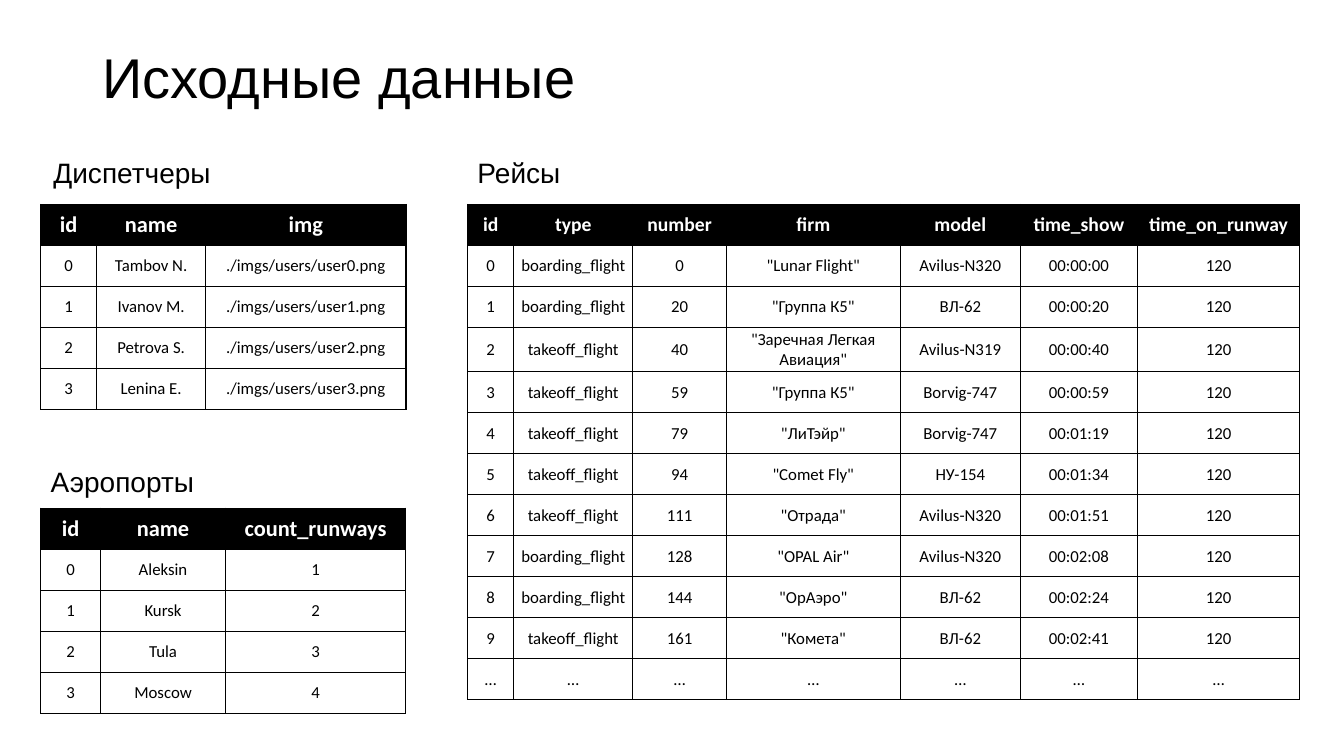
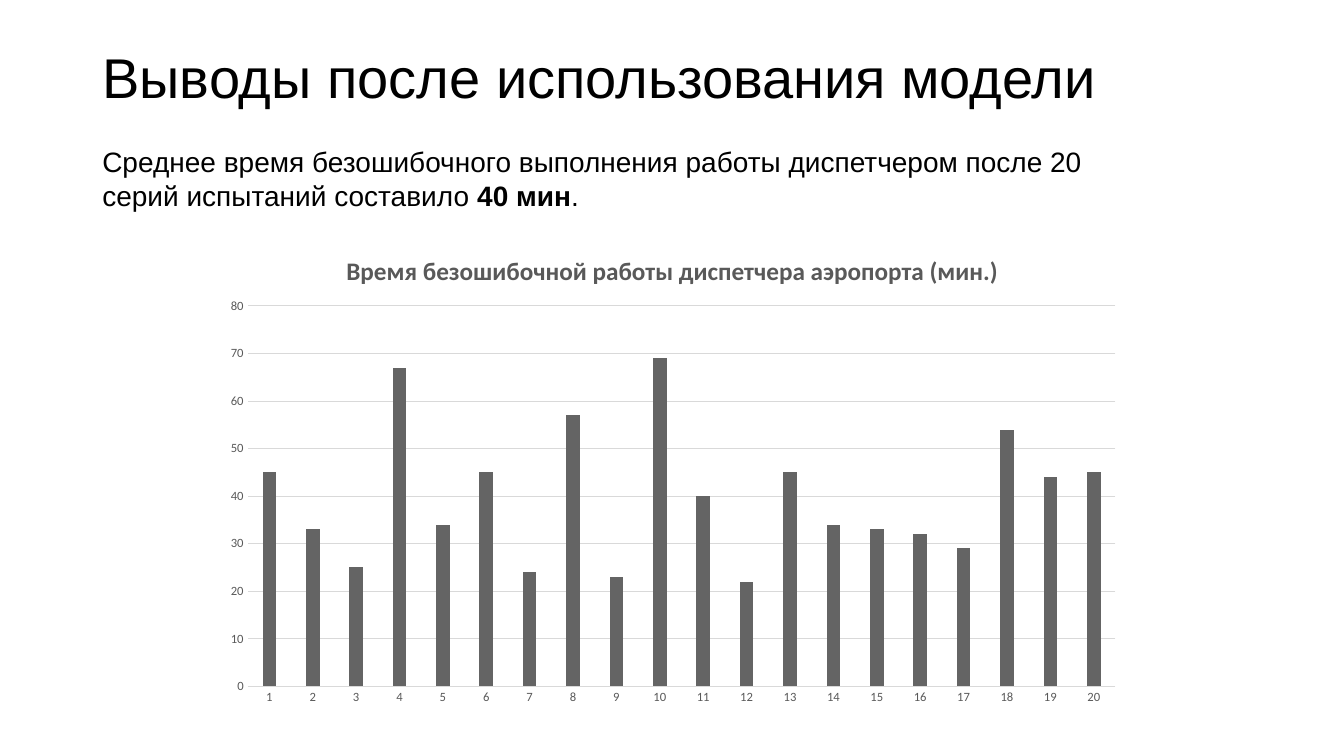
from dataclasses import dataclass

from lxml.etree import SubElement
from pptx import Presentation
from pptx.chart.data import CategoryChartData
from pptx.dml.color import RGBColor
from pptx.enum.chart import XL_CHART_TYPE, XL_TICK_MARK
from pptx.enum.text import MSO_ANCHOR, MSO_AUTO_SIZE, PP_ALIGN
from pptx.oxml import parse_xml
from pptx.oxml.ns import nsdecls, qn
from pptx.util import Pt


@dataclass(frozen=True)
class Theme:
    text: str = "000000"
    paper: str = "FFFFFF"
    muted: str = "595959"
    grid: str = "D9D9D9"
    bar: str = "646464"
    heading_font: str = "Arial"
    data_font: str = "Calibri"
    title_size: int = 40
    body_size: int = 20
    chart_title_size: int = 18
    header_size: int = 16
    wide_header_size: int = 14
    cell_size: int = 12
    axis_size: int = 9


class Deck:
    def __init__(self, theme):
        self.theme = theme
        self.presentation = Presentation()
        self.presentation.slide_width = Pt(960)
        self.presentation.slide_height = Pt(540)
        self.slide = None

    def style(self, font, name, size, color, bold=False):
        font.name = name
        font.size = Pt(size)
        font.color.rgb = RGBColor.from_string(color)
        font.bold = bold

    def add_slide(self, heading):
        self.slide = self.presentation.slides.add_slide(self.presentation.slide_layouts[5])
        title = self.slide.shapes.title
        title.left, title.top, title.width, title.height = Pt(66), Pt(28.8), Pt(828), Pt(57.6)
        frame = title.text_frame
        frame.text = heading
        frame.word_wrap = True
        frame.auto_size = MSO_AUTO_SIZE.NONE
        frame.vertical_anchor = MSO_ANCHOR.MIDDLE
        paragraph = frame.paragraphs[0]
        paragraph.alignment = PP_ALIGN.LEFT
        paragraph.line_spacing = 0.9
        self.style(paragraph.font, self.theme.heading_font, self.theme.title_size, self.theme.text)

    def add_text(self, left, top, width, height, *parts, line_spacing=0.9):
        box = self.slide.shapes.add_textbox(Pt(left), Pt(top), Pt(width), Pt(height))
        frame = box.text_frame
        frame.word_wrap = True
        paragraph = frame.paragraphs[0]
        paragraph.space_before = Pt(10)
        paragraph.line_spacing = line_spacing
        self.style(paragraph.font, self.theme.heading_font, self.theme.body_size, self.theme.text)
        for index, part in enumerate(parts):
            run = paragraph.add_run()
            run.text = part
            if index % 2:
                run.font.bold = True

    def outline(self, cell):
        properties = cell._tc.get_or_add_tcPr()
        for index, side in enumerate(("lnL", "lnR", "lnT", "lnB")):
            line = parse_xml(f'<a:{side} {nsdecls("a")} w="12700"/>')
            fill = SubElement(line, qn("a:solidFill"))
            SubElement(fill, qn("a:srgbClr"), val=self.theme.text)
            properties.insert(index, line)

    def add_table(self, left, top, widths, rows, header_size):
        row_height = 29.3
        table = self.slide.shapes.add_table(
            len(rows), len(widths), Pt(left), Pt(top), Pt(sum(widths)), Pt(row_height * len(rows))
        ).table
        for column, width in zip(table.columns, widths):
            column.width = Pt(width)
        for row_index, values in enumerate(rows):
            table.rows[row_index].height = Pt(row_height)
            for column_index, value in enumerate(values):
                self.fill_cell(table.cell(row_index, column_index), value, row_index == 0, header_size)

    def fill_cell(self, cell, value, is_header, header_size):
        theme = self.theme
        cell.text = value
        cell.vertical_anchor = MSO_ANCHOR.MIDDLE
        paragraph = cell.text_frame.paragraphs[0]
        paragraph.alignment = PP_ALIGN.CENTER
        if is_header:
            cell.fill.solid()
            cell.fill.fore_color.rgb = RGBColor.from_string(theme.text)
            self.style(paragraph.font, theme.data_font, header_size, theme.paper, True)
        else:
            cell.fill.background()
            cell.margin_left = cell.margin_right = cell.margin_top = cell.margin_bottom = Pt(1.5)
            self.style(paragraph.font, theme.data_font, theme.cell_size, theme.text)
        self.outline(cell)

    def add_column_chart(self, left, top, width, height, heading, series_name, values):
        theme = self.theme
        data = CategoryChartData()
        data.categories = [str(number) for number in range(1, len(values) + 1)]
        data.add_series(series_name, values)
        chart = self.slide.shapes.add_chart(
            XL_CHART_TYPE.COLUMN_CLUSTERED, Pt(left), Pt(top), Pt(width), Pt(height), data
        ).chart
        chart.has_legend = False
        self.style(chart.font, theme.data_font, 10, theme.text)
        chart.has_title = True
        chart.chart_title.include_in_layout = False
        title_frame = chart.chart_title.text_frame
        title_frame.text = heading
        self.style(
            title_frame.paragraphs[0].font, theme.data_font, theme.chart_title_size, theme.muted, True
        )

        plot = chart.plots[0]
        plot.gap_width = 219
        plot.overlap = -27
        plot.vary_by_categories = False
        bars = plot.series[0].format.fill
        bars.solid()
        bars.fore_color.rgb = RGBColor.from_string(theme.bar)

        for axis in (chart.category_axis, chart.value_axis):
            axis.major_tick_mark = axis.minor_tick_mark = XL_TICK_MARK.NONE
            self.style(axis.tick_labels.font, theme.data_font, theme.axis_size, theme.muted)
        chart.value_axis.minimum_scale = 0
        chart.value_axis.maximum_scale = 80
        chart.value_axis.major_unit = 10
        chart.value_axis.format.line.fill.background()
        for line in (chart.category_axis.format.line, chart.value_axis.major_gridlines.format.line):
            line.color.rgb = RGBColor.from_string(theme.grid)
            line.width = Pt(0.75)
        self.place_plot(chart, x=0.04, y=0.15, w=0.94, h=0.79)

    def place_plot(self, chart, **fractions):
        plot_area = chart.plots[0]._element.getparent()
        for old_layout in plot_area.findall(qn("c:layout")):
            plot_area.remove(old_layout)
        layout = parse_xml(f'<c:layout {nsdecls("c")}/>')
        manual = SubElement(layout, qn("c:manualLayout"))
        SubElement(manual, qn("c:layoutTarget"), val="inner")
        for mode in ("xMode", "yMode"):
            SubElement(manual, qn(f"c:{mode}"), val="edge")
        for key, value in fractions.items():
            SubElement(manual, qn(f"c:{key}"), val=str(value))
        plot_area.insert(0, layout)

    def save(self):
        self.presentation.save("out.pptx")


CONTROLLERS = ["Tambov N.", "Ivanov M.", "Petrova S.", "Lenina E."]
AIRPORTS = ["Aleksin", "Kursk", "Tula", "Moscow"]
FLIGHTS = [
    ("boarding", "0", "Lunar Flight", "Avilus-N320", "00:00:00"),
    ("boarding", "20", "Группа К5", "ВЛ-62", "00:00:20"),
    ("takeoff", "40", "Заречная Легкая Авиация", "Avilus-N319", "00:00:40"),
    ("takeoff", "59", "Группа К5", "Borvig-747", "00:00:59"),
    ("takeoff", "79", "ЛиТэйр", "Borvig-747", "00:01:19"),
    ("takeoff", "94", "Comet Fly", "НУ-154", "00:01:34"),
    ("takeoff", "111", "Отрада", "Avilus-N320", "00:01:51"),
    ("boarding", "128", "OPAL Air", "Avilus-N320", "00:02:08"),
    ("boarding", "144", "ОрАэро", "ВЛ-62", "00:02:24"),
    ("takeoff", "161", "Комета", "ВЛ-62", "00:02:41"),
]
ERROR_FREE_MINUTES = [45, 33, 25, 67, 34, 45, 24, 57, 23, 69, 40, 22, 45, 34, 33, 32, 29, 54, 44, 45]


def build_source_data(deck):
    theme = deck.theme
    controllers = [("id", "name", "img")] + [
        (str(index), name, f"./imgs/users/user{index}.png") for index, name in enumerate(CONTROLLERS)
    ]
    airports = [("id", "name", "count_runways")] + [
        (str(index), name, str(index + 1)) for index, name in enumerate(AIRPORTS)
    ]
    flights = [("id", "type", "number", "firm", "model", "time_show", "time_on_runway")]
    for index, (kind, number, firm, model, shown) in enumerate(FLIGHTS):
        flights.append((str(index), f"{kind}_flight", number, f'"{firm}"', model, shown, "120"))
    flights.append(("…",) * len(flights[0]))

    deck.add_slide("Исходные данные")
    deck.add_text(31, 110, 143, 31, "Диспетчеры")
    deck.add_text(29, 328, 135, 35, "Аэропорты", line_spacing=1)
    deck.add_text(334, 110, 102, 31, "Рейсы")
    deck.add_table(29, 146, (40, 78, 143), controllers, theme.header_size)
    deck.add_table(29, 363, (43, 89, 129), airports, theme.header_size)
    deck.add_table(334, 146, (33, 85, 67, 124, 86, 83.5, 116), flights, theme.wide_header_size)


def build_conclusions(deck):
    deck.add_slide("Выводы после использования модели")
    deck.add_text(
        66, 100, 764, 58,
        "Среднее время безошибочного выполнения работы диспетчером после 20 серий испытаний составило ",
        "40 мин",
        ".",
        line_spacing=1,
    )
    deck.add_column_chart(
        150.5, 167, 659.5, 344,
        "Время безошибочной работы диспетчера аэропорта (мин.)", "Время (мин.)", ERROR_FREE_MINUTES,
    )


def main():
    deck = Deck(Theme())
    build_source_data(deck)
    build_conclusions(deck)
    deck.save()


if __name__ == "__main__":
    main()
